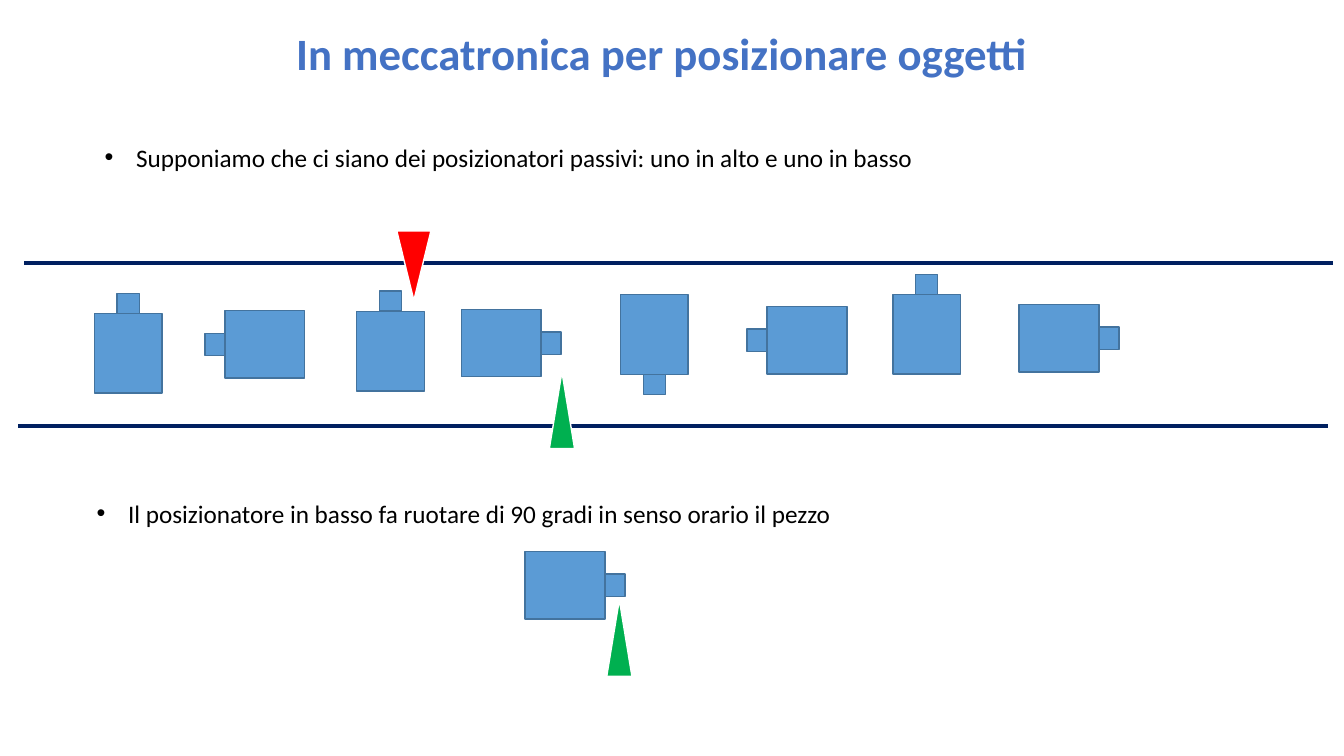
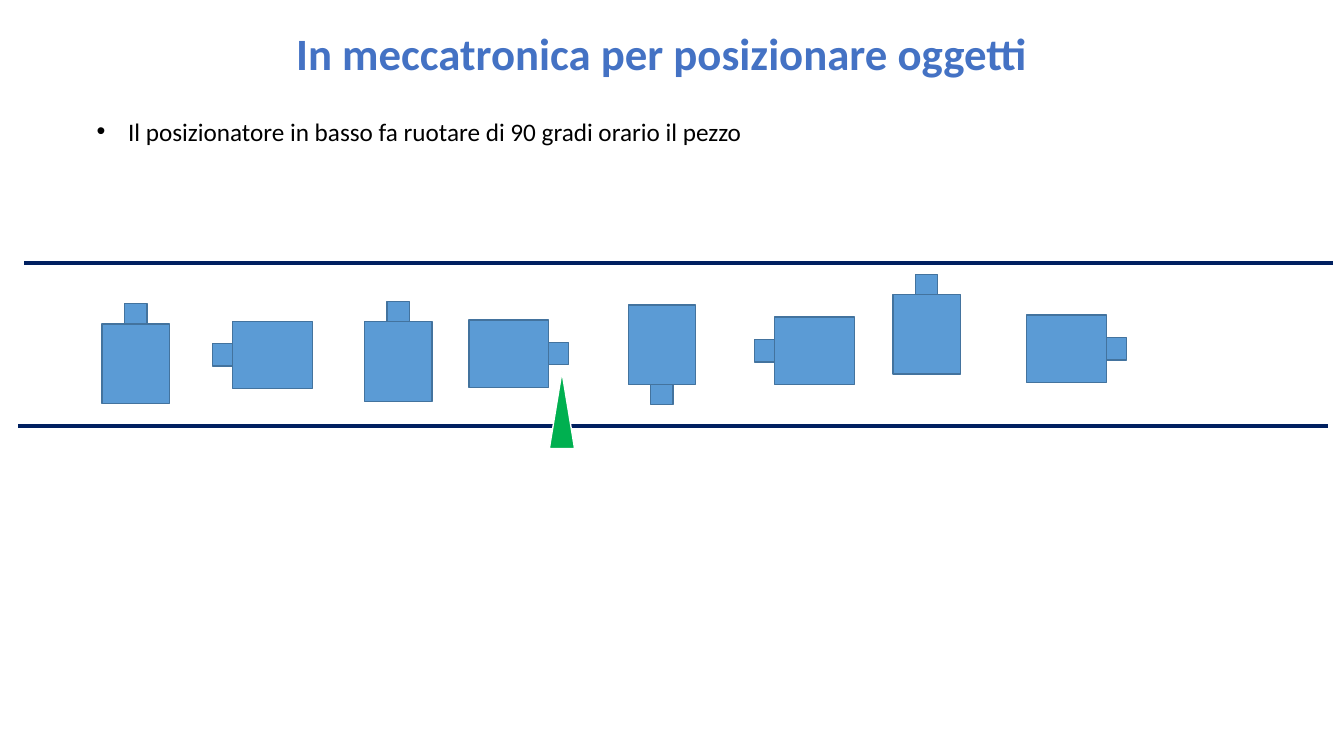
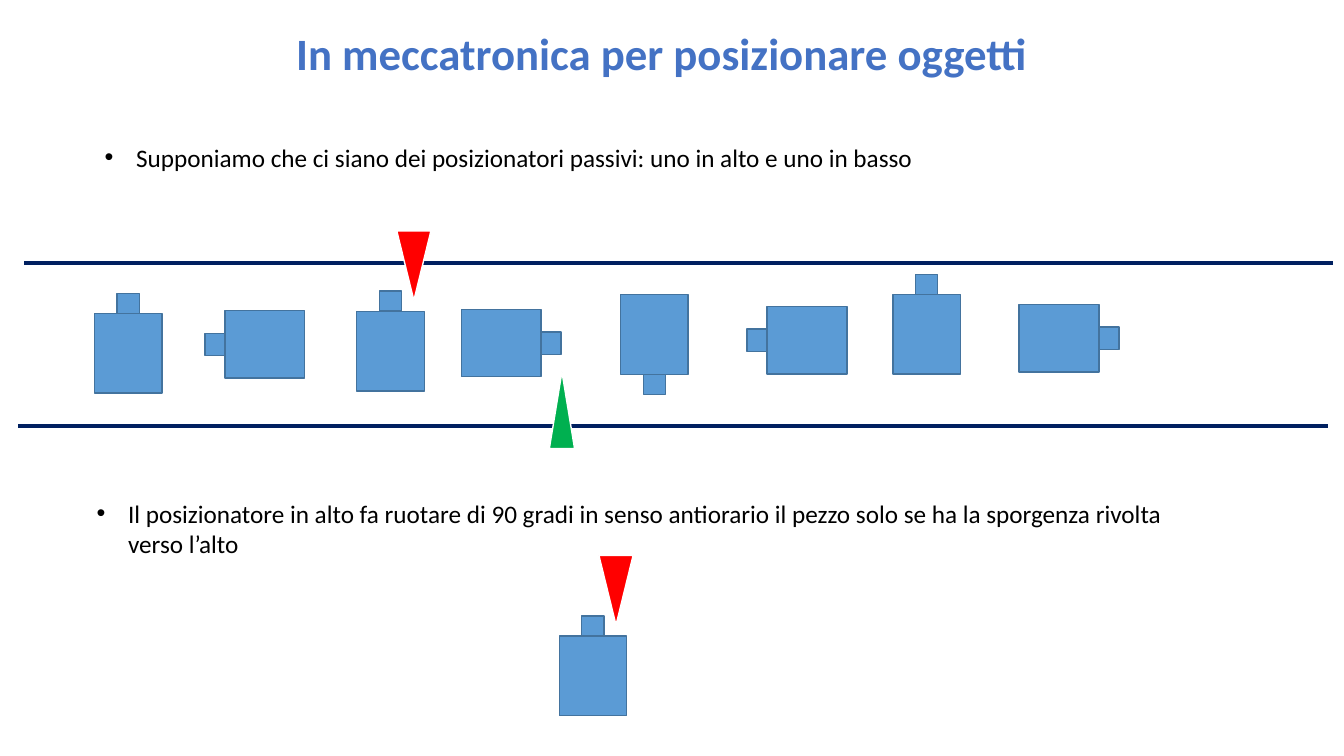
from math import cos, radians, sin

from lxml.etree import SubElement
from pptx import Presentation
from pptx.dml.color import RGBColor
from pptx.enum.shapes import MSO_CONNECTOR, MSO_SHAPE as SHAPE
from pptx.enum.text import MSO_ANCHOR, MSO_AUTO_SIZE as AUTO_SIZE, PP_ALIGN
from pptx.oxml.ns import qn
from pptx.util import Pt

rgb = RGBColor.from_string

# Shared look
FONT = "Calibri"
TITLE = "In meccatronica per posizionare oggetti"
TITLE_BLUE, BELT_NAVY, BLACK, WHITE = "4472C4", "002060", "000000", "FFFFFF"
PIECE_FILL, PIECE_LINE = "5B9BD5", "43739E"
BODY_W, BODY_H = 48.2, 57
KNOB_W, KNOB_H = 16, 14.3

# Conveyor: belt edges as (left, y), pieces as (centre x, centre y, rotation)
BELT_LENGTH = 935.3
BELT_EDGES = [(17.2, 187.9), (13, 304.5)]
PIECES = [
    (91.6, 252.3, 0), (189.2, 246, 270), (279, 250.8, 0), (358, 245.1, 90),
    (467.4, 238.8, 180), (576.4, 243.1, 270), (661.9, 238.8, 0), (756.4, 241.7, 90),
]
FIXED_PIECE = 6

# Positioners: width, height, rotation, colour
UPPER = (24.4, 49.7, 180, "FF0000")
LOWER = (18, 54.7, 0, "00B050")
UPPER_ON_BELT = (UPPER, 295.6, 189.7)
LOWER_ON_BELT = (LOWER, 401.4, 293)

# Content of each slide: bullets as (left, top, height, text)
premise = (67.7, 97.9, 29,
           "Supponiamo che ci siano dei posizionatori passivi: uno in alto e uno in basso")
SLIDES = [
    dict(
        bullets=[premise, (61.9, 352.1, 29,
                 "Il posizionatore in basso fa ruotare di 90 gradi in senso orario il pezzo")],
        shift=(0, 0),
        example=[(403.6, 418, 90)],
        positioners=[UPPER_ON_BELT, LOWER_ON_BELT, (LOWER, 442.4, 455.8)],
    ),
    dict(
        bullets=[(61.9, 79.2, 29,
                  "Il posizionatore in basso fa ruotare di 90 gradi orario il pezzo")],
        shift=(5.4, 7.5),
        example=[],
        positioners=[LOWER_ON_BELT],
    ),
    dict(
        bullets=[premise, (61.9, 352.1, 51,
                 "Il posizionatore in alto fa ruotare di 90 gradi in senso antiorario il pezzo "
                 "solo se ha la sporgenza rivolta verso l’alto")],
        shift=(0, 0),
        example=[(423.6, 482.8, 0)],
        positioners=[UPPER_ON_BELT, LOWER_ON_BELT, (UPPER, 440, 421.6)],
    ),
]


def add_part(shapes, preset, x, y, width, height, rotation, fill, line):
    """Add a filled shape centred on x, y."""
    part = shapes.add_shape(preset, Pt(x - width / 2), Pt(y - height / 2),
                            Pt(width), Pt(height))
    part.rotation = rotation
    part.shadow.inherit = False
    part.fill.solid()
    part.fill.fore_color.rgb = rgb(fill)
    part.line.color.rgb = rgb(line)
    part.line.width = Pt(1)


def add_piece(slide, x, y, rotation):
    """Add a body centred on x, y with its knob on the side it points to."""
    piece = slide.shapes.add_group_shape().shapes
    reach = (BODY_H + KNOB_H) / 2
    angle = radians(rotation)
    add_part(piece, SHAPE.RECTANGLE, x, y, BODY_W, BODY_H, rotation,
             PIECE_FILL, PIECE_LINE)
    add_part(piece, SHAPE.RECTANGLE, x + reach * sin(angle), y - reach * cos(angle),
             KNOB_W, KNOB_H, rotation, PIECE_FILL, PIECE_LINE)


prs = Presentation()
prs.slide_width, prs.slide_height = Pt(960), Pt(540)
title_only = prs.slide_layouts[5]

for content in SLIDES:
    slide = prs.slides.add_slide(title_only)

    # Title
    title = slide.shapes.title
    title.left, title.top, title.width, title.height = Pt(201.6), Pt(14.4), Pt(542.2), Pt(46)
    heading = title.text_frame
    heading.text = TITLE
    heading.word_wrap = False
    heading.auto_size = AUTO_SIZE.SHAPE_TO_FIT_TEXT
    heading.vertical_anchor = MSO_ANCHOR.TOP
    heading_line = heading.paragraphs[0]
    heading_line.alignment = PP_ALIGN.CENTER
    heading_line.font.name = FONT
    heading_line.font.size = Pt(32)
    heading_line.font.bold = True
    heading_line.font.color.rgb = rgb(TITLE_BLUE)
    outline = SubElement(heading_line.runs[0]._r.get_or_add_rPr(), qn("a:ln"),
                         w=str(Pt(0.75)))
    SubElement(SubElement(outline, qn("a:solidFill")), qn("a:srgbClr"), val=WHITE)

    # Bullets
    for left, top, height, sentence in content["bullets"]:
        bullet = slide.shapes.add_textbox(Pt(left), Pt(top), Pt(810.7), Pt(height)).text_frame
        bullet.text = sentence
        bullet.word_wrap = True
        bullet.auto_size = AUTO_SIZE.SHAPE_TO_FIT_TEXT
        statement = bullet.paragraphs[0]
        indent = statement._p.get_or_add_pPr()
        indent.set("marL", str(Pt(22.5)))
        indent.set("indent", str(Pt(-22.5)))
        SubElement(indent, qn("a:buFont"), typeface="Arial")
        SubElement(indent, qn("a:buChar"), char="•")
        statement.font.name = FONT
        statement.font.size = Pt(18)
        statement.font.color.rgb = rgb(BLACK)

    # Belt
    for left, y in BELT_EDGES:
        edge = slide.shapes.add_connector(MSO_CONNECTOR.STRAIGHT, Pt(left), Pt(y),
                                          Pt(left + BELT_LENGTH), Pt(y))
        edge.line.color.rgb = rgb(BELT_NAVY)
        edge.line.width = Pt(3)
        SubElement(edge._element.spPr, qn("a:effectLst"))

    # Pieces on the belt, then the example below it
    for number, (x, y, rotation) in enumerate(PIECES):
        dx, dy = (0, 0) if number == FIXED_PIECE else content["shift"]
        add_piece(slide, x + dx, y + dy, rotation)
    for x, y, rotation in content["example"]:
        add_piece(slide, x, y, rotation)

    # Positioners
    for (width, height, rotation, colour), x, y in content["positioners"]:
        add_part(slide.shapes, SHAPE.ISOSCELES_TRIANGLE, x, y, width, height,
                 rotation, colour, WHITE)

prs.save("out.pptx")
